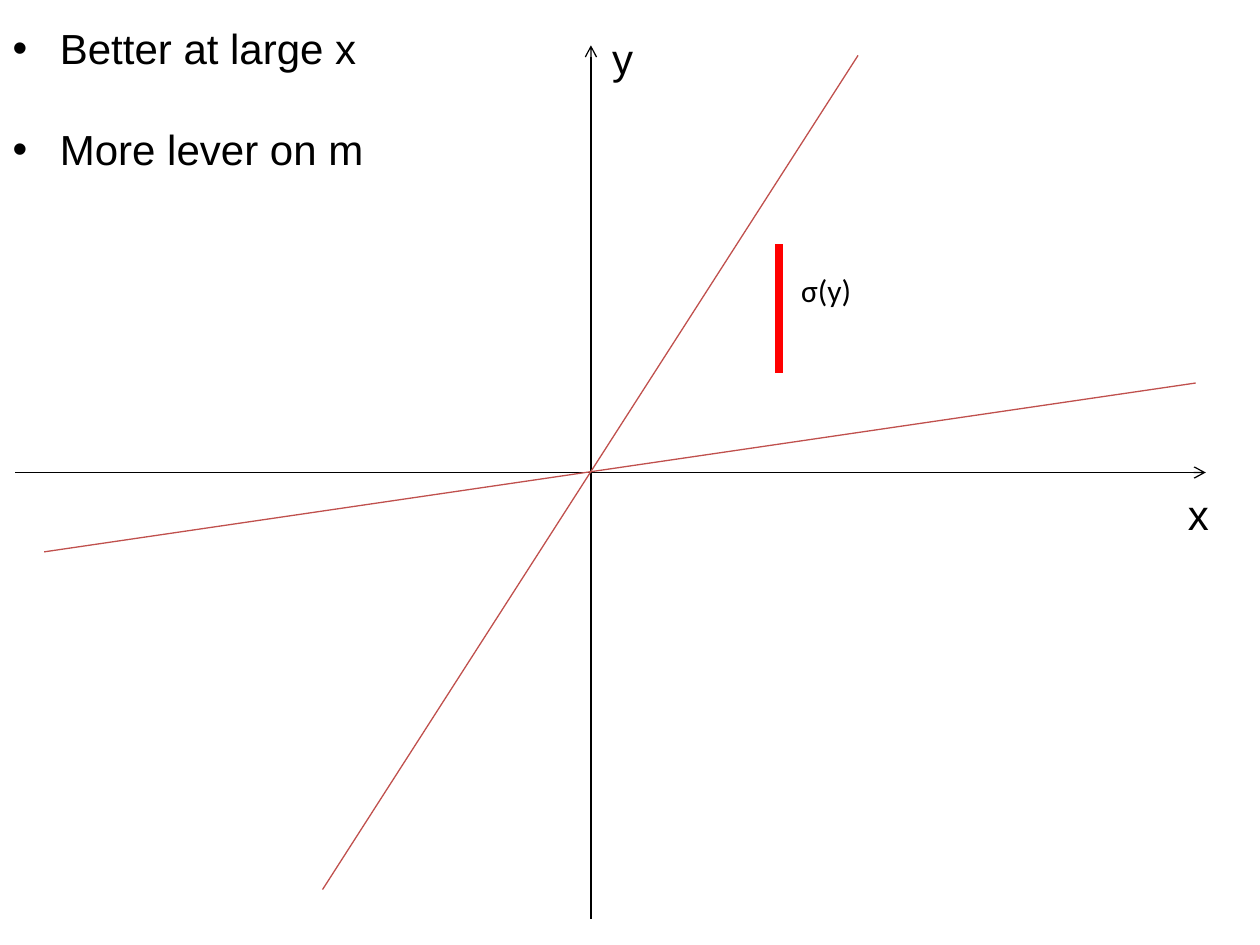
"""Build a slide of two lines through the origin with an error bar."""
from lxml import etree
from pptx import Presentation
from pptx.dml.color import RGBColor
from pptx.enum.shapes import MSO_CONNECTOR
from pptx.enum.text import MSO_ANCHOR, MSO_AUTO_SIZE
from pptx.oxml.ns import qn
from pptx.util import Inches, Pt

LINE = MSO_CONNECTOR.STRAIGHT
TOP = MSO_ANCHOR.TOP
NONE = MSO_AUTO_SIZE.NONE
INK = {"axis": "000000", "bar": "FF0000", "slope": "C0504D", "text": "000000"}


class Page:
    def __init__(self, deck):
        self.slide = deck.slides.add_slide(deck.slide_layouts[1])
        title = self.slide.shapes.title
        title.element.getparent().remove(title.element)

    def style(self, part, size, face):
        look = {"size": Pt(size), "name": face}
        for key, value in look.items():
            setattr(part.font, key, value)
        part.font.color.rgb = RGBColor.from_string(INK["text"])

    def line(self, start, end, kind, width=0.75, arrow=False):
        ends = [Inches(v) for v in (*start, *end)]
        link = self.slide.shapes.add_connector(LINE, *ends)
        link.line.width = Pt(width)
        link.line.color.rgb = RGBColor.from_string(INK[kind])
        if arrow:
            tail = etree.SubElement(link.line._get_or_add_ln(), qn("a:tailEnd"))
            tail.set("type", "arrow")
        etree.SubElement(link.element.spPr, qn("a:effectLst"))

    def label(self, text, box, size=24, face="Arial"):
        shape = self.slide.shapes.add_textbox(*[Inches(v) for v in box])
        shape.text_frame.word_wrap = False
        para = shape.text_frame.paragraphs[0]
        run = para.add_run()
        run.text = text
        self.style(run, size, face)

    def bullets(self, items, box, gap):
        body = self.slide.placeholders[1]
        for key, value in zip(("left", "top", "width", "height"), box):
            setattr(body, key, Inches(value))
        frame = body.text_frame
        form = {"word_wrap": True, "auto_size": NONE, "vertical_anchor": TOP}
        for key, value in form.items():
            setattr(frame, key, value)
        frame.text = "\n".join(items)
        for rank, para in enumerate(frame.paragraphs):
            para.space_before = Pt(gap if rank else 0)
            self.style(para.runs[0], 24, "Arial")


def main():
    deck = Presentation()
    deck.slide_width, deck.slide_height = Inches(10), Inches(7.5)
    page = Page(deck)
    page.line((4.69, 7.29), (4.69, 0.36), "axis", arrow=True)
    page.line((0.12, 3.75), (9.57, 3.75), "axis", arrow=True)
    page.line((6.18, 1.94), (6.18, 2.96), "bar", width=4.5)
    page.bullets(("Better at large x", "More lever on m"),
                 (0, 0.13, 3.43, 1.31), gap=29)
    page.label("σ(y)", (6.26, 2.1, 0.8, 0.51), size=18, face="Calibri")
    page.label("x", (9.33, 3.83, 0.37, 0.51))
    page.label("y", (4.76, 0.21, 0.37, 0.51))
    page.line((0.35, 4.38), (9.49, 3.04), "slope")
    page.line((2.56, 7.06), (6.81, 0.44), "slope")
    deck.save("out.pptx")


if __name__ == "__main__":
    main()
